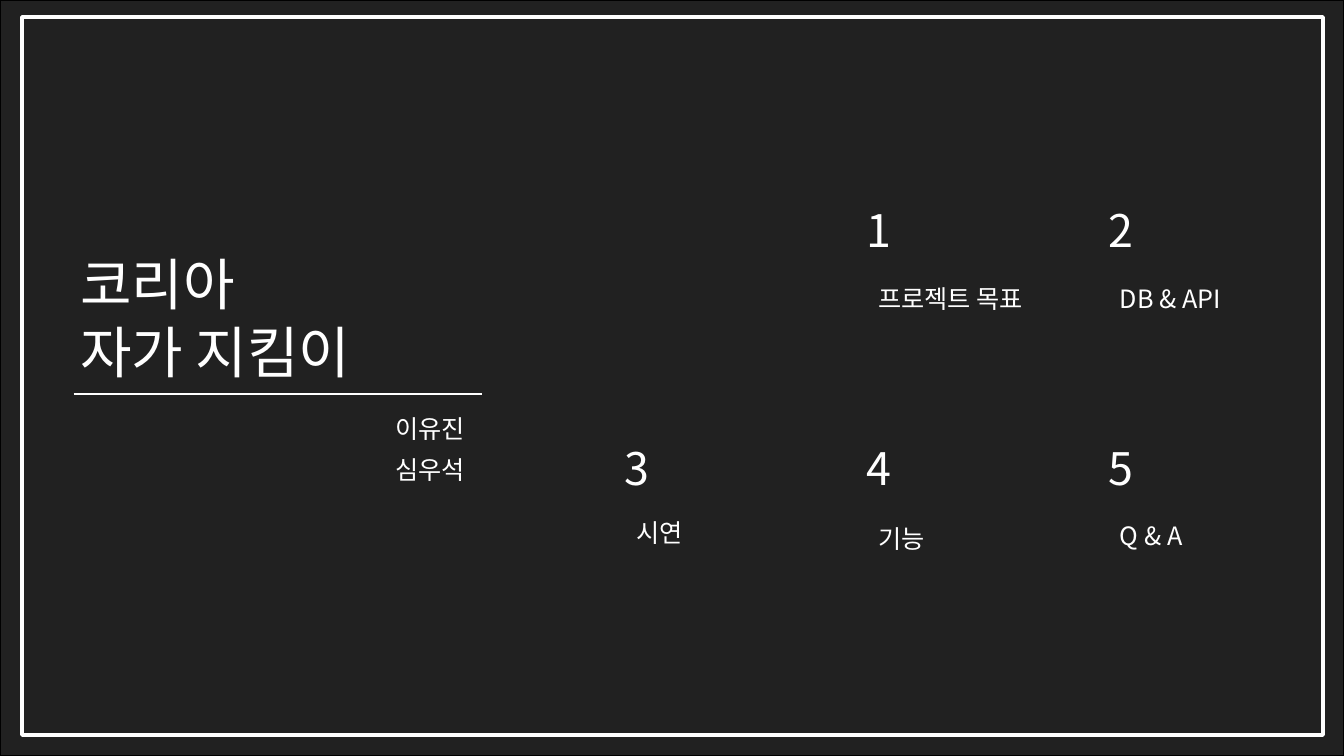
from lxml import etree
from pptx import Presentation, util as u
from pptx.dml.color import RGBColor
from pptx.enum import shapes, text
from pptx.oxml.ns import qn

COLORS = {"ink": "000000", "light": "FFFFFF"}
FONT = "Noto Sans CJK KR"
AGENDA = [
    (1, 0, "1", "프로젝트 목표", 0.8),
    (2, 0, "2", "DB & API", 0.8),
    (0, 1, "3", "시연", 0.76),
    (1, 1, "4", "기능", 0.82),
    (2, 1, "5", "Q & A", 0.79),
]


def color(name):
    return RGBColor.from_string(COLORS[name])


def add_text(page, content, left, top, width, height, size=18, ink="light"):
    box = page.shapes.add_textbox(*map(u.Inches, (left, top, width, height)))
    frame = box.text_frame
    frame.word_wrap = True
    frame.auto_size = text.MSO_AUTO_SIZE.SHAPE_TO_FIT_TEXT
    for index, line in enumerate(content.split("\n")):
        para = frame.paragraphs[0] if index == 0 else frame.add_paragraph()
        span = para.add_run()
        span.text = line
        span.font.size = u.Pt(size)
        span.font.name = FONT
        span.font.color.rgb = color(ink)
        east_asian = etree.SubElement(span.font._element, qn("a:ea"))
        east_asian.set("typeface", FONT)


def add_panel(page, left, top, width, height, line, weight, fill=None, alpha=100):
    panel = page.shapes.add_shape(
        shapes.MSO_SHAPE.RECTANGLE, *map(u.Inches, (left, top, width, height)))
    panel.shadow.inherit = False
    panel.line.color.rgb = color(line)
    panel.line.width = u.Pt(weight)
    if fill is None:
        panel.fill.background()
        return
    panel.fill.solid()
    panel.fill.fore_color.rgb = color(fill)
    tone = panel.fill._xPr.find(qn("a:solidFill")).find(qn("a:srgbClr"))
    etree.SubElement(tone, qn("a:alpha")).set("val", str(alpha * 1000))


def add_title(page, left, top, width):
    add_text(page, "코리아\n자가 지킴이", left, top, 3.2, 1.45, size=40)
    rule_top = top + 1.48
    rule = page.shapes.add_connector(
        shapes.MSO_CONNECTOR.STRAIGHT,
        *map(u.Inches, (left + 0.03, rule_top, left + width, rule_top)))
    rule.line.color.rgb = color("light")
    rule.line.width = u.Pt(1.5)
    etree.SubElement(rule._element.spPr, qn("a:effectLst"))
    for index, name in enumerate(("이유진", "심우석")):
        add_text(page, name, left + width - 0.96, rule_top + 0.14 + index * 0.41, 0.96, 0.4)


def add_agenda(page, left, top, column_step, row_step):
    for column, row, number, label, drop in AGENDA:
        x = left + column * column_step
        y = top + row * row_step
        add_text(page, number, x, y, 0.48, 0.64, size=32)
        add_text(page, label, x + 0.11, y + drop, 1.81, 0.4)


def main():
    deck = Presentation()
    deck.slide_width = u.Inches(13.33)
    deck.slide_height = u.Inches(7.5)
    page = deck.slides.add_slide(deck.slide_layouts[6])
    add_panel(page, 0, 0, 13.33, 7.5, line="ink", weight=1, fill="ink", alpha=87)
    add_panel(page, 0.22, 0.17, 12.9, 7.12, line="light", weight=3)
    add_title(page, 0.7, 2.43, 4.08)
    add_agenda(page, 6.1, 1.96, 2.4, 2.36)
    deck.save("out.pptx")


if __name__ == "__main__":
    main()
